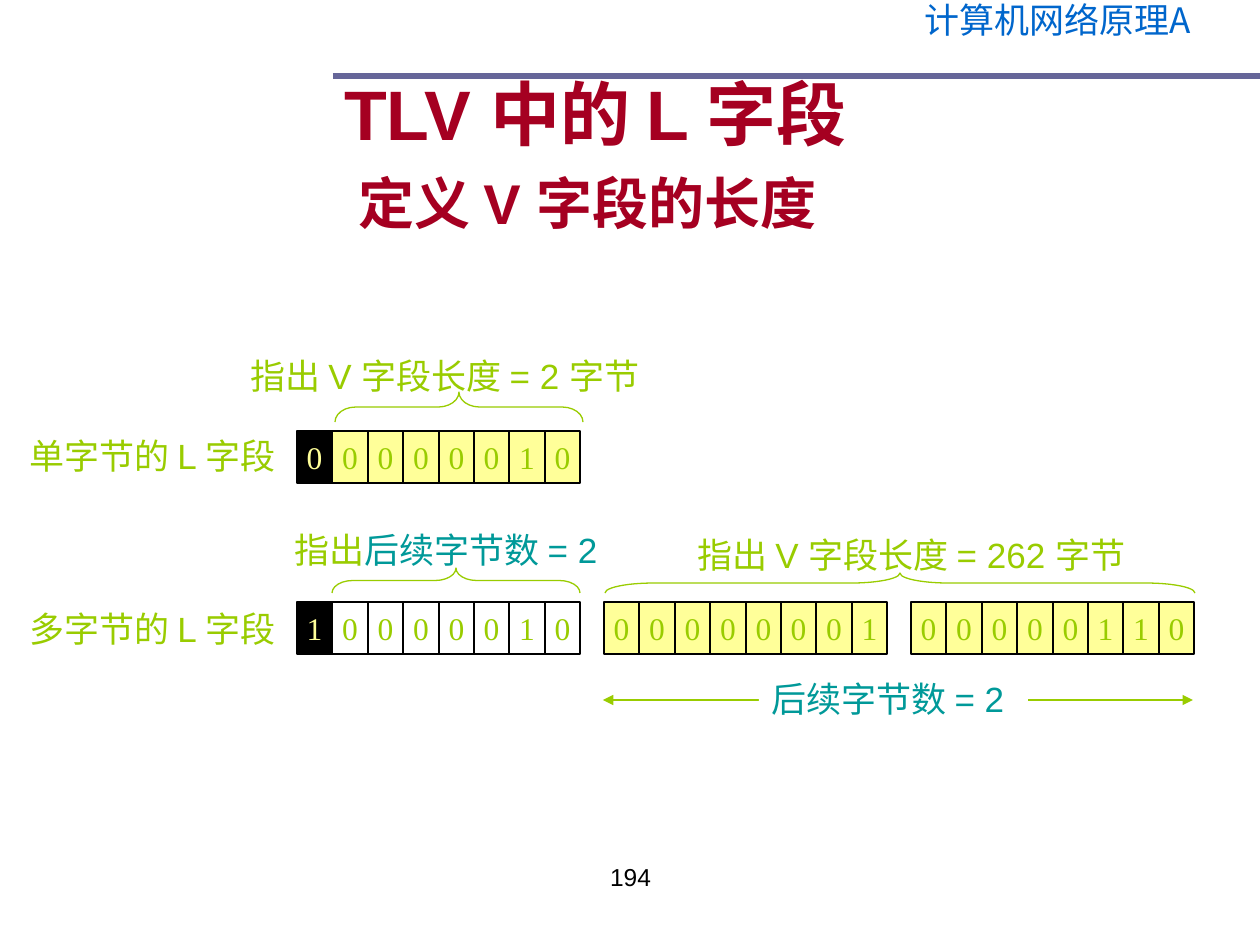
"""Build the slide on the L field of a TLV encoding."""
from lxml.etree import SubElement
from pptx import Presentation
from pptx.dml.color import RGBColor
from pptx.enum.shapes import MSO_CONNECTOR, MSO_SHAPE
from pptx.enum.text import MSO_ANCHOR, MSO_AUTO_SIZE, PP_ALIGN
from pptx.oxml.ns import qn
from pptx.util import Emu, Pt

GREEN, TEAL, YELLOW, WHITE, BLACK = "99CC00", "009999", "FFFF99", "FFFFFF", "000000"


def px(length):
    return Emu(round(length * 914400 / 126))


def color(value):
    return RGBColor.from_string(value)


class SlideBuilder:
    byte_width, bit_height = 283, 52

    def __init__(self, slide):
        self.slide = slide
        self.shapes = slide.shapes

    def style(self, paragraph, size, ink, font="Arial", align=PP_ALIGN.LEFT, bold=False):
        paragraph.alignment = align
        paragraph.font.size = Pt(size)
        paragraph.font.name = font
        paragraph.font.bold = bold
        paragraph.font.color.rgb = color(ink)

    def title(self, first, second, left, top, width, height):
        heading = self.shapes.title
        heading.left, heading.top = px(left), px(top)
        heading.width, heading.height = px(width), px(height)
        frame = heading.text_frame
        frame.word_wrap = True
        frame.auto_size = MSO_AUTO_SIZE.NONE
        frame.vertical_anchor = MSO_ANCHOR.MIDDLE
        paragraph = frame.paragraphs[0]
        self.style(paragraph, 40, "A50021", align=PP_ALIGN.CENTER, bold=True)
        paragraph.add_run().text = first
        paragraph.add_line_break()
        subtitle = paragraph.add_run()
        subtitle.text = second
        subtitle.font.size = Pt(32)
        paragraph.add_run().text = " "

    def label(self, parts, left, top, width, height=55, size=20,
              font="Arial", align=PP_ALIGN.LEFT, spacing=None, fill=None):
        box = self.shapes.add_textbox(px(left), px(top), px(width), px(height))
        if fill:
            box.fill.solid()
            box.fill.fore_color.rgb = color(fill)
        box.text_frame.word_wrap = True
        paragraph = box.text_frame.paragraphs[0]
        paragraph.line_spacing = spacing
        self.style(paragraph, size, parts[0][1], font, align)
        for words, ink in parts:
            run = paragraph.add_run()
            run.text = words
            if len(parts) > 1:
                run.font.color.rgb = color(ink)

    def bit(self, digit, left, top, width, fill, ink):
        cell = self.shapes.add_shape(
            MSO_SHAPE.RECTANGLE, px(left), px(top), px(width), px(self.bit_height))
        cell.shadow.inherit = False
        cell.fill.solid()
        cell.fill.fore_color.rgb = color(fill)
        cell.line.color.rgb = color(BLACK)
        cell.line.width = Pt(0.75)
        cell.text_frame.word_wrap = False
        cell.text_frame.vertical_anchor = MSO_ANCHOR.MIDDLE
        cell.text_frame.text = digit
        self.style(cell.text_frame.paragraphs[0], 18, ink, "Times New Roman", PP_ALIGN.CENTER)

    def byte(self, digits, left, top, fill=YELLOW, flagged=False):
        edges = [left + round(i * self.byte_width / 8) for i in range(9)]
        for i, digit in enumerate(digits):
            fill_and_ink = (BLACK, YELLOW) if flagged and i == 0 else (fill, GREEN)
            self.bit(digit, edges[i], top, edges[i + 1] - edges[i], *fill_and_ink)

    def brace(self, left, top, span, depth):
        brace = self.shapes.add_shape(
            MSO_SHAPE.RIGHT_BRACE, px(left + (span - depth) / 2),
            px(top + (depth - span) / 2), px(depth), px(span))
        brace.rotation = 270
        brace.adjustments[0] = span / depth / 12
        brace.shadow.inherit = False
        brace.fill.background()
        brace.line.color.rgb = color(GREEN)
        brace.line.width = Pt(0.75)

    def line(self, start, end, y, ink, weight, arrows=False):
        rule = self.shapes.add_connector(
            MSO_CONNECTOR.STRAIGHT, px(start), px(y), px(end), px(y))
        rule.line.color.rgb = color(ink)
        rule.line.width = Pt(weight)
        if arrows:
            for end_tag in ("a:headEnd", "a:tailEnd"):
                SubElement(rule.line._get_or_add_ln(), qn(end_tag), type="triangle")
        SubElement(rule._element.spPr, qn("a:effectLst"))


def main():
    deck = Presentation()
    deck.slide_width, deck.slide_height = px(1260), px(945)
    page = SlideBuilder(deck.slides.add_slide(deck.slide_layouts[5]))

    page.label([("计算机网络原理A", "0066CC")], 869, 0, 377,
               font="Noto Sans CJK SC", align=PP_ALIGN.CENTER, spacing=0.8)
    page.line(333, 1260, 76, "666699", 3)
    page.title("TLV 中的 L 字段", "定义 V 字段的长度", 64, 76, 1063, 158)

    page.label([("指出 V 字段长度 = 2 字节", GREEN)], 238, 348, 460)
    page.brace(335, 392, 248, 30)
    page.label([("单字节的 L 字段", GREEN)], 17, 428, 300)
    page.byte("00000010", 297, 431, flagged=True)

    page.label([("指出", GREEN), ("后续字节数 = 2", TEAL)], 282, 522, 367)
    page.brace(332, 568, 248, 25)
    page.label([("多字节的 L 字段", GREEN)], 17, 601, 300)
    page.byte("10000010", 297, 602, fill=WHITE, flagged=True)

    page.label([("指出 V 字段长度 = 262 字节", GREEN)], 685, 527, 500)
    page.brace(605, 573, 590, 20)
    for left, digits in ((604, "00000001"), (911, "00000110")):
        page.byte(digits, left, 602)
    page.line(603, 1193, 700, GREEN, 0.75, arrows=True)
    page.label([("后续字节数 = 2", TEAL)], 759, 671, 269, fill=WHITE)

    page.label([("194", BLACK)], 431, 861, 399, 66, size=14,
               align=PP_ALIGN.CENTER, spacing=0.8)
    deck.save("out.pptx")


if __name__ == "__main__":
    main()
